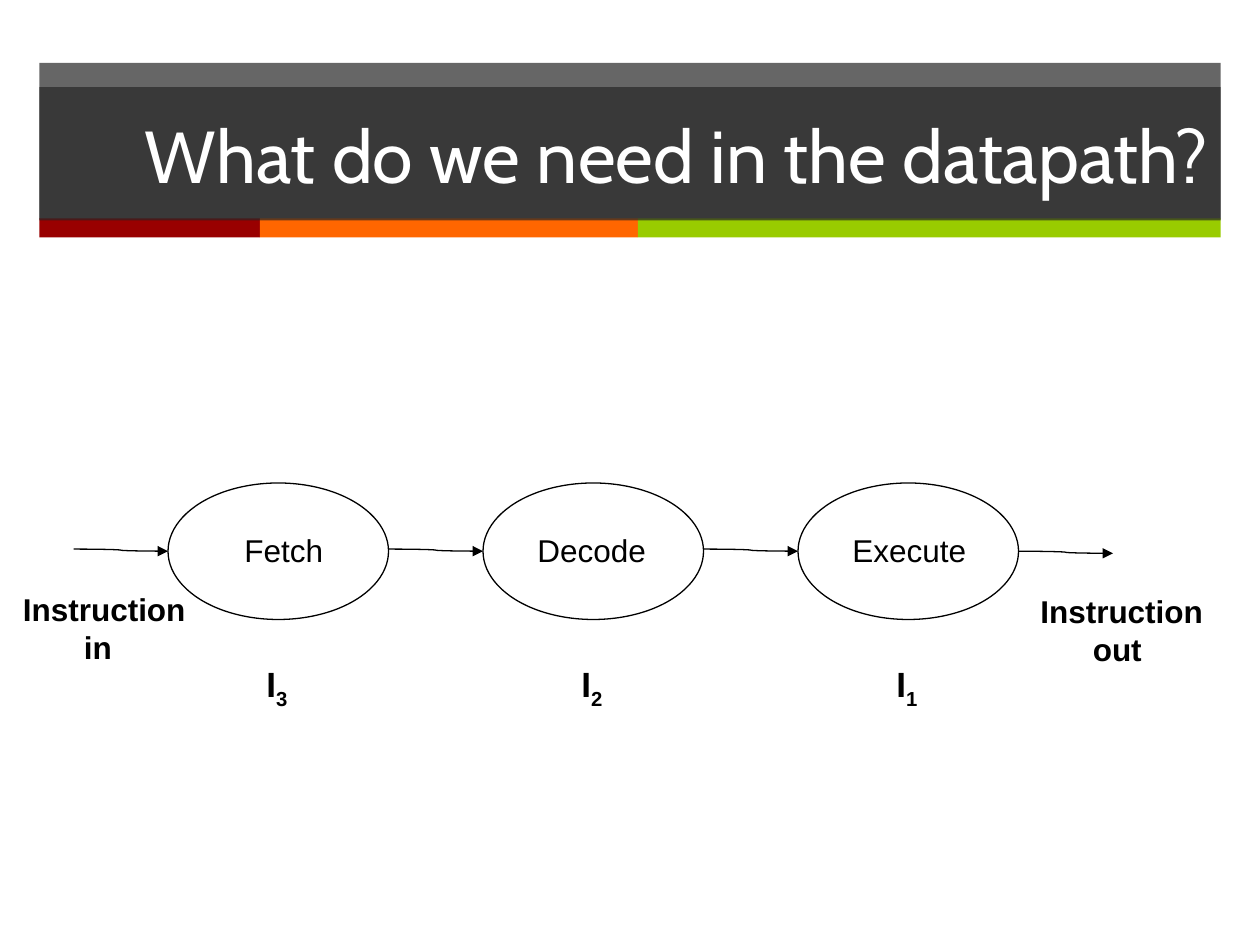
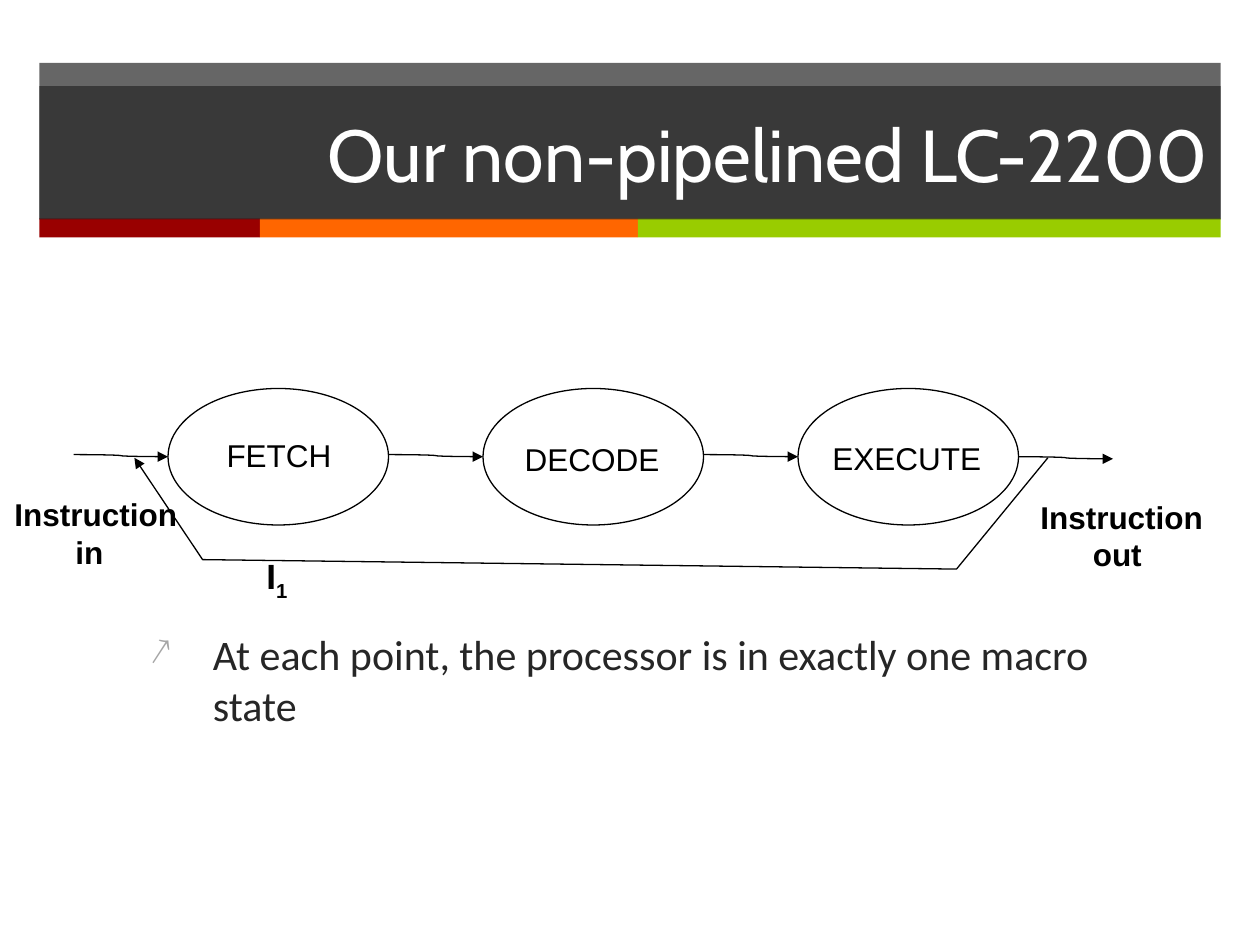
from dataclasses import dataclass

from lxml.etree import SubElement
from pptx import Presentation
from pptx.dml.color import RGBColor
from pptx.enum.shapes import MSO_CONNECTOR as Connector, MSO_SHAPE as Preset
from pptx.enum.text import MSO_ANCHOR as Anchor, MSO_AUTO_SIZE as AutoSize, PP_ALIGN as Align
from pptx.oxml.ns import qn
from pptx.util import Emu, Inches, Pt

# Shared style
COLORS = {
    "ink": "000000",
    "paper": "FFFFFF",
    "band": "262626",
    "body": "262626",
    "bullet": "A6A6A6",
    "red": "990000",
    "orange": "FF6600",
    "green": "99CC00",
}
BAND_OPACITY = 70

# Grid of 12 square columns by 9 rows; every length below is in grid units
COLUMNS, ROWS = 12, 9
SLIDE_WIDTH, SLIDE_HEIGHT = Inches(10), Inches(7.5)
BAND_WIDTH = 11.25
MARGIN = (COLUMNS - BAND_WIDTH) / 2
STRIPES = (("red", 2.1), ("orange", 3.6), ("green", 5.55))

# Pipeline geometry
PITCH = 3
STAGE_LEFT, STAGE_WIDTH, STAGE_HEIGHT = 1.6, 2.1, 1.3
ARROW_LEFT, ARROW_WIDTH = 0.7, 0.9
ARROW_DROP = 0.63
TOKEN_LEFT, TOKEN_WIDTH = 2.42, 1.28
PORT_WIDTH, PORT_HEIGHT = 1.79, 0.84


@dataclass(frozen=True)
class Area:
    left: float
    top: float
    width: float
    height: float

    def emu(self) -> list[Emu]:
        return [grid(side) for side in (self.left, self.top, self.width, self.height)]


@dataclass(frozen=True)
class Stage:
    name: str
    left: float
    drop: float
    width: float


@dataclass(frozen=True)
class Pipeline:
    title: str
    title_top: float
    top: float
    stages: tuple[Stage, ...]
    port_in_left: float
    tokens: tuple[str, ...]
    token_top: float
    token_height: float


PIPELINES = (
    Pipeline(
        "What do we need in the datapath?", 0.83, 4.6,
        (Stage("Fetch", 2.21, 0.4, 1), Stage("Decode", 5, 0.4, 1.27),
         Stage("Execute", 8, 0.4, 1.32)),
        0.1, ("3", "2", "1"), 6.25, 0.98),
    Pipeline(
        "Our non-pipelined LC-2200", 0.82, 3.7,
        (Stage("FETCH", 2.04, 0.39, 1.25), Stage("DECODE", 4.88, 0.43, 1.54),
         Stage("EXECUTE", 7.81, 0.42, 1.67)),
        0.02, ("1",), 5.22, 0.71),
)
LOOP = ((9.98, 4.36), (9.11, 5.42), (1.93, 5.33), (1.28, 4.36))
STATEMENT = "At each point, the processor is in exactly one macro state"


def grid(units: float) -> Emu:
    return Emu(round(units * SLIDE_WIDTH / COLUMNS))


def color(name: str) -> RGBColor:
    return RGBColor.from_string(COLORS[name])


# Text
def write(frame, text: str, *, font="Arial", size=18, ink="ink", bold=False,
          align=Align.LEFT, anchor=Anchor.TOP, wrap=True, subscript="") -> None:
    """Fill a frame, one paragraph per line of text."""
    frame.auto_size = AutoSize.NONE
    frame.word_wrap = wrap
    frame.vertical_anchor = anchor
    for number, line in enumerate(text.split("\n")):
        para = frame.add_paragraph() if number else frame.paragraphs[0]
        para.alignment = align
        for content in filter(None, (line, subscript)):
            span = para.add_run()
            span.text = content
            span.font.name, span.font.size, span.font.bold = font, Pt(size), bold
            span.font.color.rgb = color(ink)
            if content == subscript:
                span.font._element.set("baseline", "-25000")


def add_text(slide, area: Area, text: str, **style):
    box = slide.shapes.add_textbox(*area.emu())
    write(box.text_frame, text, **style)
    return box


def indent(para, left: float, first: float) -> None:
    properties = para._p.get_or_add_pPr()
    properties.set("marL", str(grid(left)))
    properties.set("indent", str(grid(first)))


def add_bullet(para, symbol: str, ink: str, percent: int) -> None:
    properties = para._p.get_or_add_pPr()
    tint = SubElement(properties, qn("a:buClr"))
    SubElement(tint, qn("a:srgbClr"), val=COLORS[ink])
    SubElement(properties, qn("a:buSzPct"), val=str(percent * 1000))
    SubElement(properties, qn("a:buChar"), char=symbol)


# Shapes and lines
def paint(shape, name: str, opacity: int = 100) -> None:
    shape.fill.solid()
    shape.fill.fore_color.rgb = color(name)
    if opacity < 100:
        fill = shape._element.spPr.find(qn("a:solidFill"))
        SubElement(fill[0], qn("a:alpha"), val=str(opacity * 1000))


def add_block(slide, area: Area, fill: str, opacity: int = 100):
    block = slide.shapes.add_shape(Preset.RECTANGLE, *area.emu())
    block.shadow.inherit = False
    block.line.fill.background()
    paint(block, fill, opacity)
    return block


def draw_line(shape, arrow: bool = False) -> None:
    shape.line.color.rgb = color("ink")
    shape.line.width = Pt(0.75)
    if arrow:
        SubElement(shape.line._get_or_add_ln(), qn("a:tailEnd"), type="triangle")


def add_arrow(slide, left: float, top: float) -> None:
    ends = (left, top, left + ARROW_WIDTH, top + 0.02)
    arrow = slide.shapes.add_connector(Connector.CURVE, *map(grid, ends))
    draw_line(arrow, arrow=True)
    SubElement(arrow._element.spPr, qn("a:effectLst"))


# Parts of the slides
def add_header(slide, title: str, top: float) -> None:
    add_block(slide, Area(MARGIN, 0.6, BAND_WIDTH, 1.49), "band", BAND_OPACITY)
    left = MARGIN
    for name, width in STRIPES:
        add_block(slide, Area(left, 2.08, width, 0.18), name)
        left += width
    box = slide.shapes.title
    box.left, box.top, box.width, box.height = Area(MARGIN, top, BAND_WIDTH, 1.27).emu()
    paint(box, "band", BAND_OPACITY)
    write(box.text_frame, title, font="Cabin", size=42, ink="paper",
          align=Align.RIGHT, anchor=Anchor.MIDDLE)
    box._element.getparent().append(box._element)  # in front of the band


def add_port(slide, left: float, top: float, word: str, shift: float) -> None:
    box = add_text(slide, Area(left, top, PORT_WIDTH, PORT_HEIGHT),
                   f"Instruction\n{word}", bold=True, wrap=False)
    indent(box.text_frame.paragraphs[1], 0, shift)


def add_pipeline(slide, plan: Pipeline) -> None:
    for number, stage in enumerate(plan.stages):
        area = Area(STAGE_LEFT + number * PITCH, plan.top, STAGE_WIDTH, STAGE_HEIGHT)
        oval = slide.shapes.add_shape(Preset.OVAL, *area.emu())
        oval.shadow.inherit = False
        oval.fill.background()
        draw_line(oval)
        add_text(slide, Area(stage.left, plan.top + stage.drop, stage.width, 0.48),
                 stage.name, wrap=False)
    last = len(plan.stages)
    for number in range(last + 1):
        drop = ARROW_DROP + (0.02 if number == last else 0)
        add_arrow(slide, ARROW_LEFT + number * PITCH, plan.top + drop)
    add_port(slide, plan.port_in_left, plan.top + 0.96, "in", 0.58)
    add_port(slide, 9.79, plan.top + 0.98, "out", 0.5)
    for number, index in enumerate(plan.tokens):
        area = Area(TOKEN_LEFT + number * PITCH, plan.token_top,
                    TOKEN_WIDTH, plan.token_height)
        token = add_block(slide, area, "paper")
        write(token.text_frame, "I", size=20, bold=True, subscript=index)


def add_statement(slide) -> None:
    box = add_text(slide, Area(1.31, 5.93, 9.29, 1.81), STATEMENT,
                   font="Calibri", size=24, ink="body")
    para = box.text_frame.paragraphs[0]
    para.space_before = Pt(20)
    indent(para, 0.6, -0.6)
    add_bullet(para, "↗", "bullet", 90)


def add_loop(slide) -> None:
    start, *others = [(grid(x), grid(y)) for x, y in LOOP]
    builder = slide.shapes.build_freeform(*start)
    builder.add_line_segments(others, close=False)
    loop = builder.convert_to_shape()
    loop.shadow.inherit = False
    loop.fill.background()
    draw_line(loop, arrow=True)


def main() -> None:
    deck = Presentation()
    deck.slide_width, deck.slide_height = SLIDE_WIDTH, SLIDE_HEIGHT
    title_only = deck.slide_layouts.get_by_name("Title Only")
    for plan in PIPELINES:
        page = deck.slides.add_slide(title_only)
        add_header(page, plan.title, plan.title_top)
        add_pipeline(page, plan)
    # The last slide feeds the output back to the input
    add_statement(page)
    add_loop(page)
    deck.save("out.pptx")


if __name__ == "__main__":
    main()
